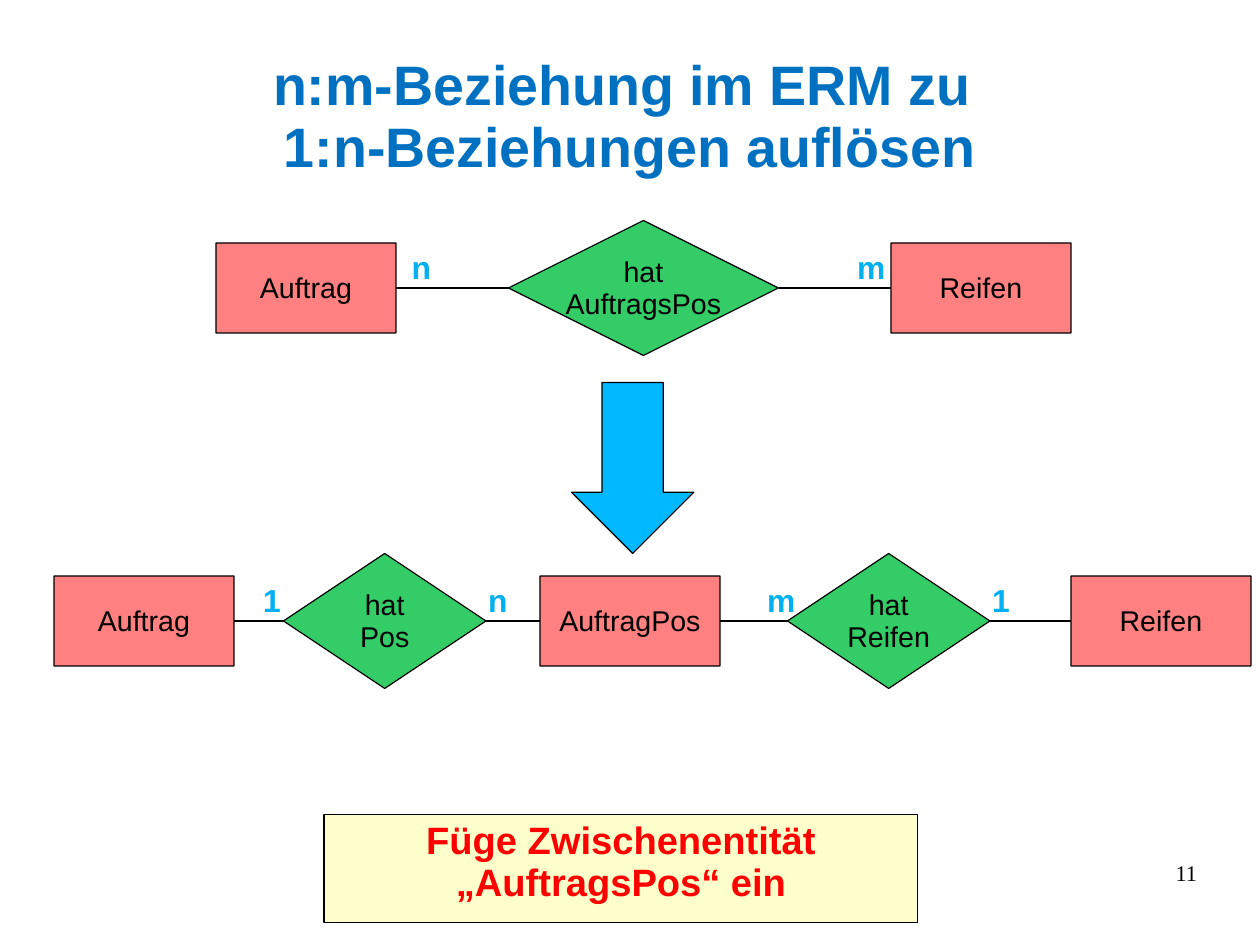
import pptx
import pptx.dml.color
import pptx.enum.shapes
import pptx.enum.text
import pptx.oxml.ns
import pptx.util
from lxml import etree

SHAPE = pptx.enum.shapes.MSO_SHAPE
ALIGN = pptx.enum.text.PP_ALIGN
ANCHOR = pptx.enum.text.MSO_ANCHOR

THEME = {
    "title": ("Arial", 35, "0070C0", True),
    "node": ("Arial", 18, "000000", False),
    "cardinality": ("Arial", 20, "00B0F0", True),
    "note": ("Arial", 24, "FF0000", True),
    "page": ("Times New Roman", 14, "000000", False),
    "entity fill": "FF8080",
    "relation fill": "33CC66",
    "arrow fill": "00B8FF",
    "note fill": "FFFFCC",
    "line": "000000",
    "line width": 0.75,
}

# The slide is a grid of 28 columns by 21 rows.
COLUMNS, ROWS = 28, 21
CELL = pptx.util.Cm(1)

deck = pptx.Presentation()
deck.slide_width, deck.slide_height = COLUMNS * CELL, ROWS * CELL
slide = deck.slides.add_slide(deck.slide_layouts[6])


def place(left, top, width, height, kind=None, fill=None):
    """Put a preset shape, or a text box when no kind is given, on the grid."""
    box = [int(cells * CELL) for cells in (left, top, width, height)]
    if kind is None:
        return slide.shapes.add_textbox(*box)
    shape = slide.shapes.add_shape(kind, *box)
    shape.shadow.inherit = False
    shape.fill.solid()
    shape.fill.fore_color.rgb = pptx.dml.color.RGBColor.from_string(THEME[fill])
    shape.line.color.rgb = pptx.dml.color.RGBColor.from_string(THEME["line"])
    shape.line.width = pptx.util.Pt(THEME["line width"])
    return shape


def write(shape, text, style, align=ALIGN.CENTER, anchor=ANCHOR.MIDDLE,
          insets=(0.1, 0.07, 0.1, 0.05), wrap=True, spacing=0.93):
    """Fill a shape with one paragraph; insets are left, top, right, bottom inches."""
    font_name, size, color, bold = THEME[style]
    frame = shape.text_frame
    frame.word_wrap = wrap
    frame.vertical_anchor = anchor
    (frame.margin_left, frame.margin_top,
     frame.margin_right, frame.margin_bottom) = map(pptx.util.Inches, insets)
    paragraph = frame.paragraphs[0]
    paragraph.alignment = align
    paragraph.line_spacing = spacing
    for number, line in enumerate(text.split("\n")):
        if number:
            paragraph.add_line_break()
        run = paragraph.add_run()
        run.text = line
        run.font.name = font_name
        run.font.size = pptx.util.Pt(size)
        run.font.bold = bold
        run.font.color.rgb = pptx.dml.color.RGBColor.from_string(color)


title = place(1.4, 0.84, 25.2, 3.5)
write(title, "n:m-Beziehung im ERM zu \n1:n-Beziehungen auflösen", "title",
      insets=(0, 0.03, 0, 0))

# Each diagram: centre row, nodes (kind, text, left, width), cardinalities (text, left).
diagrams = [
    (6.4,
     [("entity", "Auftrag", 4.8, 4),
      ("relation", "hat\nAuftragsPos", 11.3, 6),
      ("entity", "Reifen", 19.8, 4)],
     [("n", 8.9), ("m", 18.8)]),
    (13.8,
     [("entity", "Auftrag", 1.2, 4),
      ("relation", "hat\nPos", 6.3, 4.5),
      ("entity", "AuftragPos", 12, 4),
      ("relation", "hat\nReifen", 17.5, 4.5),
      ("entity", "Reifen", 23.8, 4)],
     [("1", 5.6), ("n", 10.6), ("m", 16.8), ("1", 21.8)]),
]
node_kinds = {"entity": (SHAPE.ROUNDED_RECTANGLE, 2),
              "relation": (SHAPE.FLOWCHART_DECISION, 3)}
LEFT_SIDE, RIGHT_SIDE = 1, 3

for centre, nodes, cardinalities in diagrams:
    for cardinality, left in cardinalities:
        write(place(left, centre - 1, 2, 1.04), cardinality, "cardinality",
              align=ALIGN.LEFT, anchor=ANCHOR.TOP)

    chain = []
    for role, text, left, width in nodes:
        kind, height = node_kinds[role]
        node = place(left, centre - height / 2, width, height, kind, f"{role} fill")
        if role == "entity":
            node.adjustments[0] = 0.002
        write(node, text, "node", wrap=role == "entity")
        chain.append(node)

    for before, after in zip(chain, chain[1:]):
        link = slide.shapes.add_connector(
            pptx.enum.shapes.MSO_CONNECTOR.STRAIGHT, 0, 0, 0, 0)
        link.begin_connect(before, RIGHT_SIDE)
        link.end_connect(after, LEFT_SIDE)
        link.line.color.rgb = pptx.dml.color.RGBColor.from_string(THEME["line"])
        link.line.width = pptx.util.Pt(THEME["line width"])
        etree.SubElement(link.element.spPr, pptx.oxml.ns.qn("a:effectLst"))

place(12.7, 8.5, 2.72, 3.8, SHAPE.DOWN_ARROW, "arrow fill")

note = place(7.2, 18.1, 13.2, 2.4, SHAPE.RECTANGLE, "note fill")
write(note, "Füge Zwischenentität „AuftragsPos“ ein", "note",
      anchor=ANCHOR.TOP, insets=(0.1, 0.05, 0.1, 0.05))

page_number = place(20.07, 19.13, 6.53, 1.45)
write(page_number, "11", "page", align=ALIGN.RIGHT, anchor=ANCHOR.TOP,
      insets=(0, 0, 0, 0), spacing=0.95)

deck.save("out.pptx")
